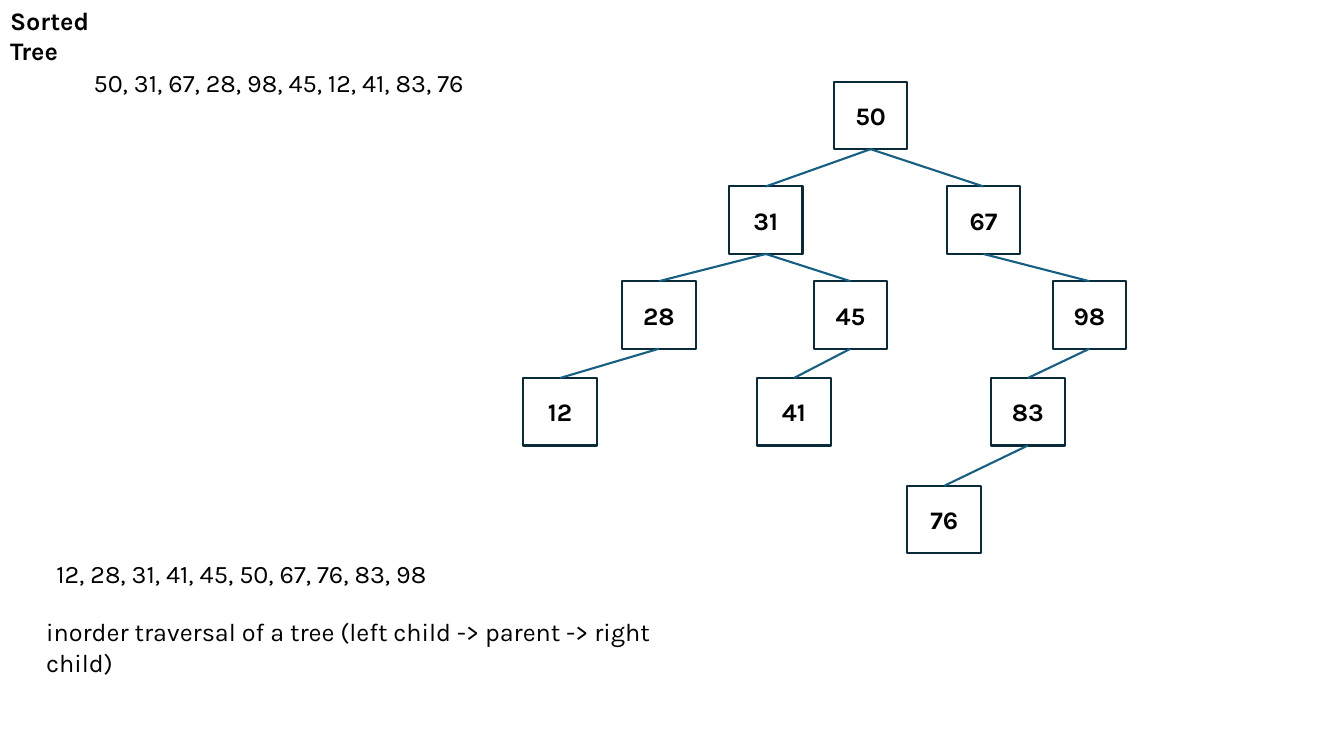
from lxml import etree
from pptx import Presentation
from pptx.dml.color import RGBColor
from pptx.enum import shapes, text
from pptx.oxml.ns import qn
from pptx.util import Inches, Pt

BLACK = RGBColor(0x00, 0x00, 0x00)
NODE_LINE = RGBColor(0x09, 0x2A, 0x39)
EDGE_LINE = RGBColor(0x15, 0x60, 0x82)

# Content
TITLE = "Sorted Tree"
# text, left, top, width, wrap
NOTES = [
    ("50, 31, 67, 28, 98, 45, 12, 41, 83, 76", 0.83, 0.62, 4.13, False),
    ("inorder traversal of a tree (left child -> parent -> right child)",
     0.36, 6.07, 6.7, True),
    ("12, 28, 31, 41, 45, 50, 67, 76, 83, 98", 0.46, 5.49, 4.01, False),
]
# value, parent, level, left
NODES = [
    (50, None, 0, 8.27),
    (31, 50, 1, 7.23),
    (67, 50, 1, 9.39),
    (28, 31, 2, 6.17),
    (98, 67, 2, 10.44),
    (45, 31, 2, 8.07),
    (12, 28, 3, 5.19),
    (41, 45, 3, 7.51),
    (83, 98, 3, 9.83),
    (76, 83, 4, 9),
]
LEVEL_TOPS = [0.81, 1.85, 2.79, 3.75, 4.82]
NODE_W, NODE_H = 0.73, 0.67
NOTE_H = 0.4
BOTTOM, TOP = 2, 0  # connection sites


def write(tf, words, bold=False, align=text.PP_ALIGN.LEFT):
    p = tf.paragraphs[0]
    p.alignment = align
    r = p.add_run()
    r.text = words
    for name, value in {"name": "Karla", "size": Pt(18), "bold": bold}.items():
        setattr(r.font, name, value)
    r.font.color.rgb = BLACK


def format_box(tf, wrap):
    frame = {
        "word_wrap": wrap,
        "auto_size": text.MSO_AUTO_SIZE.SHAPE_TO_FIT_TEXT,
        "vertical_anchor": text.MSO_ANCHOR.TOP,
    }
    for name, value in frame.items():
        setattr(tf, name, value)


def add_node(s, value, left, top):
    sp = s.shapes.add_shape(shapes.MSO_SHAPE.RECTANGLE, Inches(left), Inches(top),
                            Inches(NODE_W), Inches(NODE_H))
    sp.shadow.inherit = False
    sp.fill.background()
    sp.line.color.rgb = NODE_LINE
    sp.line.width = Pt(1.5)
    sp.text_frame.vertical_anchor = text.MSO_ANCHOR.MIDDLE
    write(sp.text_frame, str(value), bold=True, align=text.PP_ALIGN.CENTER)
    return sp


def add_edge(s, parent, child):
    edge = s.shapes.add_connector(shapes.MSO_CONNECTOR.STRAIGHT, 0, 0, 0, 0)
    edge.begin_connect(parent, BOTTOM)
    edge.end_connect(child, TOP)
    edge.line.color.rgb = EDGE_LINE
    edge.line.width = Pt(1.5)
    etree.SubElement(edge._element.spPr, qn("a:effectLst"))


def main():
    prs = Presentation()
    prs.slide_width, prs.slide_height = Inches(13.33), Inches(7.5)
    s = prs.slides.add_slide(prs.slide_layouts[5])

    # Title
    title = s.shapes.title
    title.left, title.top = Inches(0), Inches(0)
    title.width, title.height = Inches(1.5), Inches(NOTE_H)
    format_box(title.text_frame, True)
    write(title.text_frame, TITLE, bold=True)

    # Tree: each node hangs from its parent
    boxes = {}
    for value, parent, level, left in NODES:
        boxes[value] = add_node(s, value, left, LEVEL_TOPS[level])
        if parent is not None:
            add_edge(s, boxes[parent], boxes[value])

    # Number sequences and traversal rule
    for words, left, top, width, wrap in NOTES:
        tb = s.shapes.add_textbox(Inches(left), Inches(top), Inches(width), Inches(NOTE_H))
        format_box(tb.text_frame, wrap)
        write(tb.text_frame, words)

    prs.save("out.pptx")


if __name__ == "__main__":
    main()
